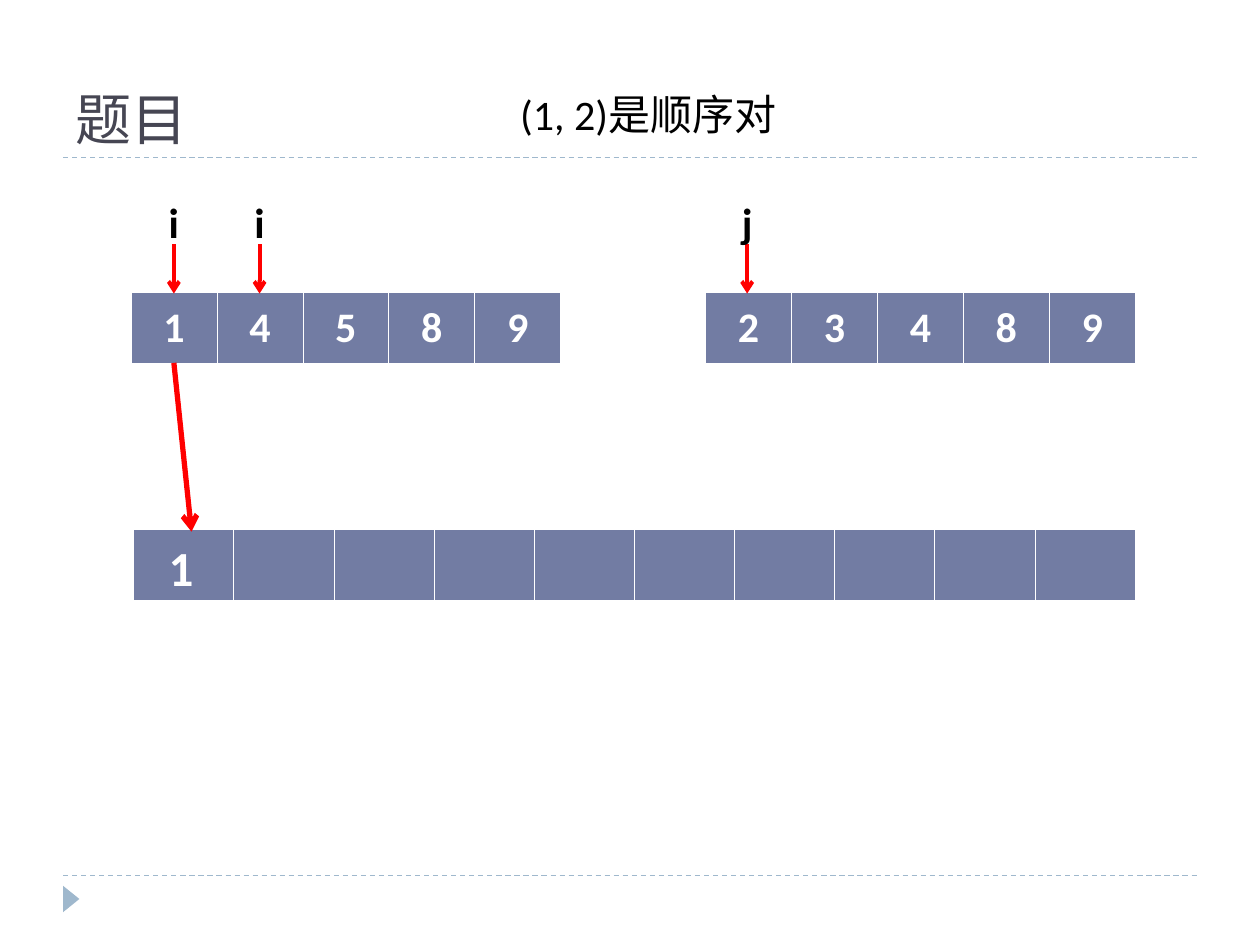
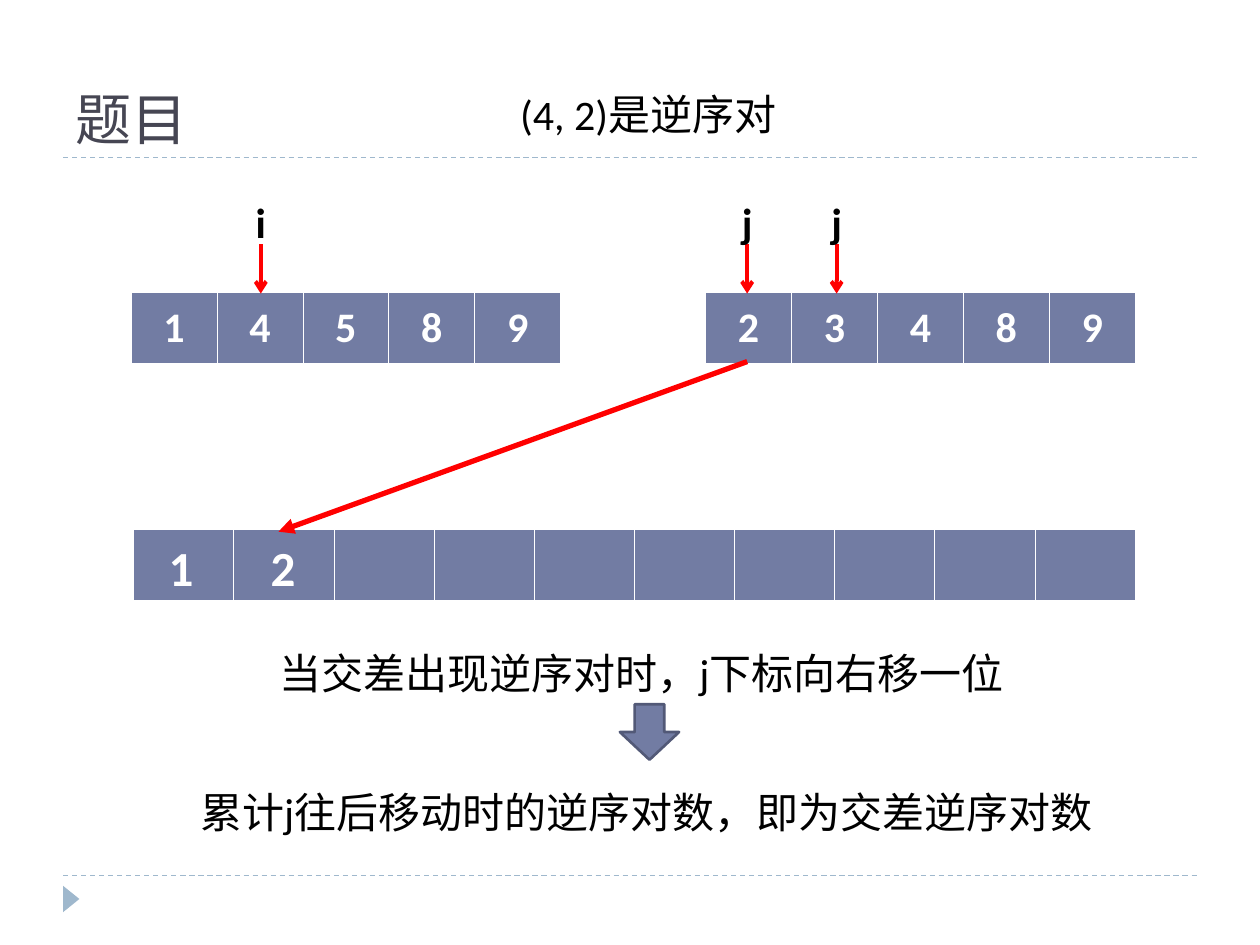
from lxml import etree
from pptx import Presentation
from pptx.dml.color import RGBColor
from pptx.enum import dml, shapes, text as txt
from pptx.oxml import ns
from pptx.util import Inches, Pt

SLATE = RGBColor(0x72, 0x7C, 0xA3)
SLATE_DARK = RGBColor(0x52, 0x59, 0x77)
PALE_BLUE = RGBColor(0x9F, 0xB8, 0xCD)
TITLE_GREY = RGBColor(0x46, 0x46, 0x53)
RED = RGBColor(0xFF, 0x00, 0x00)
WHITE = RGBColor(0xFF, 0xFF, 0xFF)
BLACK = RGBColor(0x00, 0x00, 0x00)

ARRAY_TOP, MERGED_TOP, ROW_HEIGHT = 2.32, 4.2, 0.57
BORDERS = [("lnL", 0.45), ("lnR", 0.45), ("lnT", 0.45), ("lnB", 1.47)]
ARRAYS = [
    (1.04, ARRAY_TOP, 3.41, ["1", "4", "5", "8", "9"]),
    (5.6, ARRAY_TOP, 3.41, ["2", "3", "4", "8", "9"]),
    (1.06, MERGED_TOP, 7.95, [""] * 10),
]
STEPS = [
    {
        "verdict": "(1, 2)是顺序对",
        "pointers": [("i", 1.38), ("j", 5.93), ("i", 2.06)],
        "move": (1.38, 2.88, 1.52, 4.22, "arrow"),
        "merged": [("1", 1.24)],
        "notes": [],
    },
    {
        "verdict": "(4, 2)是逆序对",
        "pointers": [("j", 5.93), ("i", 2.07), ("j", 6.64)],
        "move": (5.93, 2.87, 2.21, 4.22, "triangle"),
        "merged": [("1", 1.24), ("2", 2.05)],
        "notes": [
            ("当交差出现逆序对时，j下标向右移一位", 2.12, 5.09, 6.1),
            ("累计j往后移动时的逆序对数，即为交差逆序对数", 1.49, 6.19, 7.44),
        ],
    },
]


def add_text(page, words, left, top, width, height=0.5, size=24, font="Calibri",
             color=BLACK, bold=False, wrap=False, anchor=txt.MSO_ANCHOR.TOP):
    box = page.shapes.add_textbox(Inches(left), Inches(top), Inches(width), Inches(height))
    frame = box.text_frame
    frame.word_wrap = wrap
    frame.vertical_anchor = anchor
    span = frame.paragraphs[0].add_run()
    span.text = words
    span.font.size = Pt(size)
    span.font.name = font
    span.font.bold = bold
    span.font.color.rgb = color


def add_line(page, x1, y1, x2, y2, color=RED, weight=2.25, head=None, dash=None):
    line = page.shapes.add_connector(
        shapes.MSO_CONNECTOR.STRAIGHT, Inches(x1), Inches(y1), Inches(x2), Inches(y2))
    line.line.color.rgb = color
    line.line.width = Pt(weight)
    if dash:
        line.line.dash_style = dash
    properties = line._element.spPr
    if head:
        etree.SubElement(properties.find(ns.qn("a:ln")), ns.qn("a:tailEnd"), type=head)
    etree.SubElement(properties, ns.qn("a:effectLst"))


deck = Presentation()
deck.slide_width = Inches(10)
deck.slide_height = Inches(7.5)

for step in STEPS:
    page = deck.slides.add_slide(deck.slide_layouts[6])

    for rule_y in (6.95, 1.25):
        add_line(page, 0.5, rule_y, 9.5, rule_y, color=PALE_BLUE, weight=0.75,
                 dash=dml.MSO_LINE.DASH)
    marker = page.shapes.add_shape(
        shapes.MSO_SHAPE.ISOSCELES_TRIANGLE, Inches(0.46), Inches(7.07), Inches(0.21), Inches(0.13))
    marker.rotation = 90
    marker.shadow.inherit = False
    marker.fill.solid()
    marker.fill.fore_color.rgb = PALE_BLUE
    marker.line.fill.background()
    add_text(page, "题目", 0.5, 0.17, 9, 1.08, size=32, font="Roboto Slab",
             color=TITLE_GREY, wrap=True, anchor=txt.MSO_ANCHOR.BOTTOM)

    for left, top, width, values in ARRAYS:
        table = page.shapes.add_table(
            1, len(values), Inches(left), Inches(top), Inches(width), Inches(ROW_HEIGHT)).table
        for column, value in enumerate(values):
            table.columns[column].width = Inches(width / len(values))
            cell = table.cell(0, column)
            cell.vertical_anchor = txt.MSO_ANCHOR.MIDDLE
            properties = cell._tc.get_or_add_tcPr()
            for side, weight in BORDERS:
                border = etree.SubElement(properties, ns.qn("a:" + side), w=str(Pt(weight)))
                paint = etree.SubElement(border, ns.qn("a:solidFill"))
                etree.SubElement(paint, ns.qn("a:srgbClr"), val=str(WHITE))
            cell.fill.solid()
            cell.fill.fore_color.rgb = SLATE
            if value:
                para = cell.text_frame.paragraphs[0]
                para.alignment = txt.PP_ALIGN.CENTER
                span = para.add_run()
                span.text = value
                span.font.size = Pt(24)
                span.font.name = "Calibri"
                span.font.bold = True
                span.font.color.rgb = WHITE

    for name, x in step["pointers"]:
        add_line(page, x, 1.94, x, 2.33, head="arrow")
        add_text(page, name, x - 0.14, 1.51, 0.28, bold=True)

    add_text(page, step["verdict"], 4.03, 0.65, 2.31)
    *ends, head = step["move"]
    add_line(page, *ends, weight=3, head=head)
    for value, left in step["merged"]:
        add_text(page, value, left, 4.22, 0.42, 0.57, size=28, color=WHITE, bold=True)

    for words, left, top, width in step["notes"]:
        add_text(page, words, left, top, width)
    if step["notes"]:
        arrow = page.shapes.add_shape(
            shapes.MSO_SHAPE.DOWN_ARROW, Inches(4.92), Inches(5.59), Inches(0.47), Inches(0.44))
        arrow.shadow.inherit = False
        arrow.fill.solid()
        arrow.fill.fore_color.rgb = SLATE
        arrow.line.color.rgb = SLATE_DARK
        arrow.line.width = Pt(1.5)

deck.save("out.pptx")
